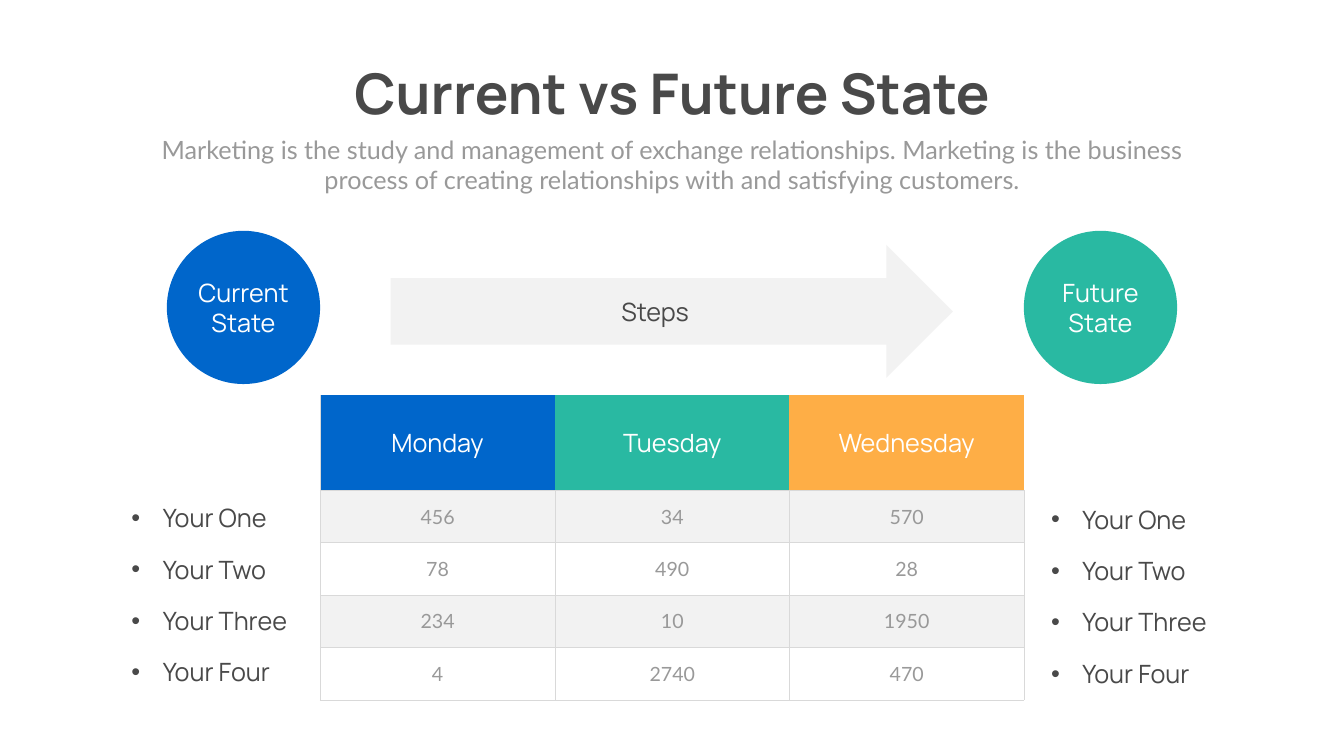
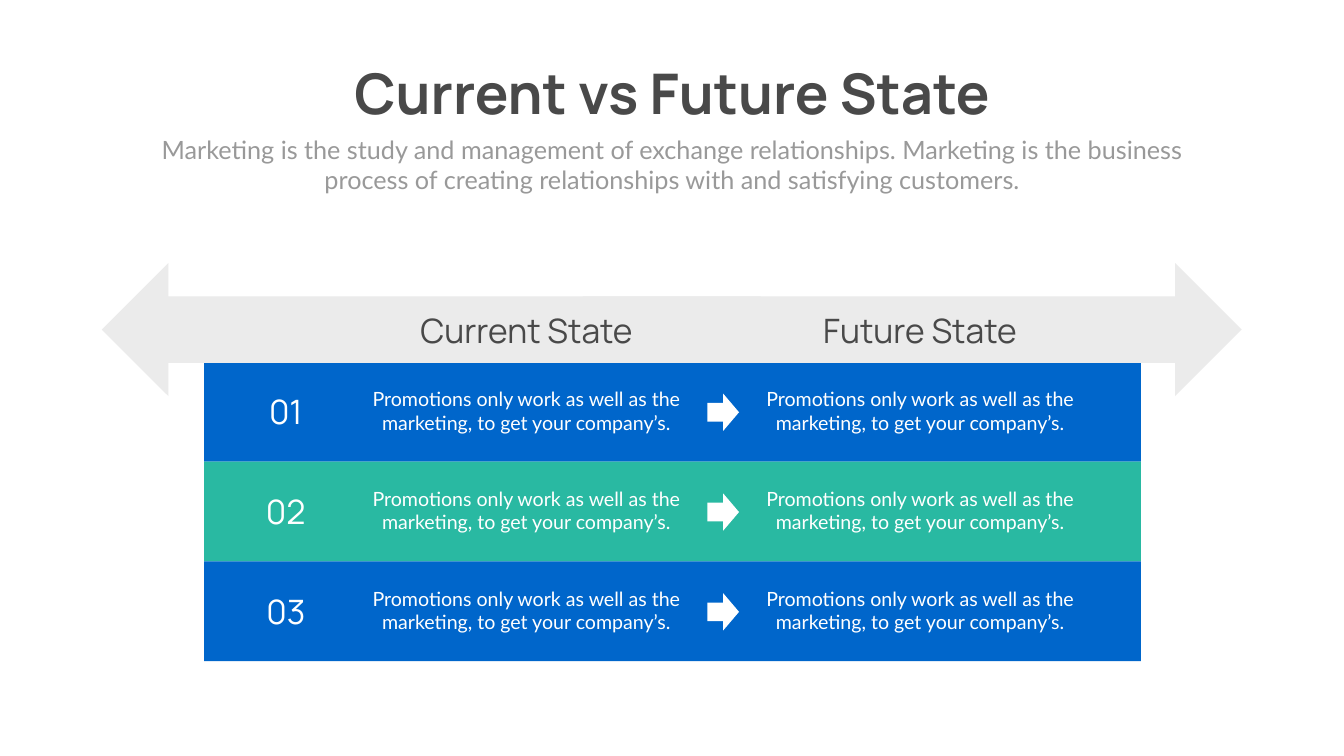
"""Build two slides that compare a current state with a future state."""
from pptx import Presentation
from pptx.dml.color import RGBColor as RGB
from pptx.enum.shapes import MSO_SHAPE as SHAPE
from pptx.enum.text import MSO_ANCHOR as ANCHOR, MSO_AUTO_SIZE as FIT, PP_ALIGN as ALIGN
from pptx.oxml.ns import qn
from pptx.util import Emu, Pt
from lxml.etree import SubElement as Sub

PX = 9144
BLUE = RGB(0x00, 0x66, 0xCB)
TEAL = RGB(0x29, 0xB9, 0xA2)
GOLD = RGB(0xFE, 0xAE, 0x46)
DARK = RGB(0x49, 0x49, 0x49)
GRAY = RGB(0x99, 0x99, 0x99)
RULE = RGB(0xD9, 0xD9, 0xD9)
ARROW = RGB(0xEB, 0xEB, 0xEB)
PALE = RGB(0xF2, 0xF2, 0xF2)
WHITE = RGB(0xFF, 0xFF, 0xFF)
HEAD, BODY = "Manrope", "Lato"
PLAIN = "{2D5ABB26-0587-4C30-8999-92F81FD0307C}"

TITLE = "Current vs Future State"
INTRO = ("Marketing is the study and management of exchange relationships. "
         "Marketing is the business process of creating relationships with "
         "and satisfying customers.")
PROMO = "Promotions only work as well as the marketing, to get your company’s."
STEPS = ["Your One", "Your Two", "Your Three", "Your Four"]
DAYS = {"Monday": BLUE, "Tuesday": TEAL, "Wednesday": GOLD}
COUNTS = [(456, 34, 570), (78, 490, 28), (234, 10, 1950), (4, 2740, 470)]


def emu(*nums):
    """Turn px lengths into EMU."""
    return [Emu(n * PX) for n in nums]


def put(item, vals):
    """Set each attribute named in a dict."""
    for name, val in vals.items():
        setattr(item, name, val)


def write(frame, text, size, face, color, align=ALIGN.CENTER, bold=False):
    """Fill a text frame with one styled paragraph."""
    para = frame.paragraphs[0]
    para.text = text
    para.alignment = align
    font = para.runs[0].font
    put(font, {"size": Pt(size), "name": face, "bold": bold})
    font.color.rgb = color
    return para


def label(slide, box, text, size, face, color, wrap=True, align=ALIGN.CENTER):
    """Add a text box and return its paragraph."""
    frame = slide.shapes.add_textbox(*emu(*box)).text_frame
    put(frame, {"word_wrap": wrap, "auto_size": FIT.SHAPE_TO_FIT_TEXT})
    return write(frame, text, size, face, color, align)


def shape(shapes, kind, box, color):
    """Add a flat preset shape without outline."""
    item = shapes.add_shape(kind, *emu(*box))
    item.shadow.inherit = False
    item.fill.solid()
    item.fill.fore_color.rgb = color
    item.line.fill.background()
    return item


def badge(slide, kind, box, color, text, ink):
    """Add a shape with a centred caption."""
    frame = shape(slide.shapes, kind, box, color).text_frame
    put(frame, {"word_wrap": True, "vertical_anchor": ANCHOR.MIDDLE})
    write(frame, text, 36, HEAD, ink)


def start(deck):
    """Add a slide with the shared title and intro."""
    slide = deck.slides.add_slide(deck.slide_layouts[5])
    title = slide.shapes.title
    put(title, dict(zip(("left", "top", "width", "height"),
                        emu(657, 112, 1353, 145))))
    put(title.text_frame, {"word_wrap": False, "vertical_anchor": ANCHOR.TOP,
                           "auto_size": FIT.SHAPE_TO_FIT_TEXT})
    write(title.text_frame, TITLE, 80, HEAD, DARK, bold=True)
    label(slide, (292, 261, 2082, 131), INTRO, 36, BODY, GRAY)
    return slide


def bullets(slide, left, top, width):
    """List the steps at an even pitch."""
    for i, step in enumerate(STEPS):
        para = label(slide, (left, top + i * 102, width, 71), step, 36, HEAD,
                     DARK, align=ALIGN.LEFT)
        props = para._p.get_or_add_pPr()
        props.set("marL", str(62 * PX))
        props.set("indent", str(-62 * PX))
        Sub(props, qn("a:buFont"), typeface="Arial")
        Sub(props, qn("a:buChar"), char="•")


def edge(cell, sides):
    """Draw thin rules on the given sides of a cell."""
    props = cell._tc.get_or_add_tcPr()
    for side in sides:
        line = Sub(props, qn(f"a:ln{side}"), w=str(Pt(1)))
        Sub(Sub(line, qn("a:solidFill")), qn("a:srgbClr"), val=str(RULE))


def fill(cell, text, size, face, ink, color, sides):
    """Style one table cell."""
    edge(cell, sides)
    cell.fill.solid()
    cell.fill.fore_color.rgb = color
    cell.vertical_anchor = ANCHOR.MIDDLE
    write(cell.text_frame, text, size, face, ink)


def grid(slide, left, top):
    """Add the table of days and counts."""
    wide, high = [466, 465, 465], [190] + [104] * 4
    frame = slide.shapes.add_table(len(high), len(wide),
                                   *emu(left, top, sum(wide), sum(high)))
    table = frame.table
    table._tbl.tblPr.find(qn("a:tableStyleId")).text = PLAIN
    for col, size in zip(table.columns, emu(*wide)):
        col.width = size
    for row, size in zip(table.rows, emu(*high)):
        row.height = size
    for j, (day, color) in enumerate(DAYS.items()):
        fill(table.cell(0, j), day, 36, HEAD, WHITE, color, "B" if j else "LB")
    for i, row in enumerate(COUNTS):
        for j, num in enumerate(row):
            fill(table.cell(i + 1, j), str(num), 28, BODY, GRAY,
                 WHITE if i % 2 else PALE, "LRTB")


def days(deck):
    """Build the slide with the table of days."""
    slide = start(deck)
    badge(slide, SHAPE.OVAL, (331, 458, 304, 304), BLUE, "Current State", WHITE)
    badge(slide, SHAPE.OVAL, (2031, 458, 304, 304), TEAL, "Future State", WHITE)
    badge(slide, SHAPE.RIGHT_ARROW, (775, 486, 1115, 264), PALE, "Steps", DARK)
    grid(slide, 635, 783)
    bullets(slide, 2075, 995, 381)
    bullets(slide, 251, 992, 365)


def band(slide, left, top, num, color):
    """Add one numbered row that leads from left to right."""
    shape(slide.shapes, SHAPE.RECTANGLE, (left, top, 1858, 198), color)
    label(slide, (left + 102, top + 53, 120, 91), f"{num:02}", 48, HEAD, WHITE)
    for shift in (302, 1083):
        label(slide, (left + shift, top + 45, 674, 104), PROMO, 28, BODY, WHITE)
    shape(slide.shapes, SHAPE.RIGHT_ARROW, (left + 998, top + 63, 63, 74), WHITE)


def span(slide, left, top):
    """Add the double arrow with its two captions."""
    group = slide.shapes.add_group_shape().shapes
    for shift, turn in ((954, 0), (0, 180)):
        box = (left + shift, top, 1307, 264)
        shape(group, SHAPE.RIGHT_ARROW, box, ARROW).rotation = turn
    for shift, width, text in ((606, 473, "Current State"),
                               (1408, 430, "Future State")):
        label(slide, (left + shift, top + 87, width, 91), text, 48, HEAD, DARK,
              wrap=False)


def rows(deck):
    """Build the slide with the numbered rows."""
    slide = start(deck)
    for i, color in enumerate((BLUE, TEAL, BLUE)):
        band(slide, 405, 718 + i * 198, i + 1, color)
    span(slide, 202, 522)


def main():
    """Build and save the deck."""
    deck = Presentation()
    deck.slide_width, deck.slide_height = emu(2666, 1500)
    days(deck)
    rows(deck)
    deck.save("out.pptx")


if __name__ == "__main__":
    main()
